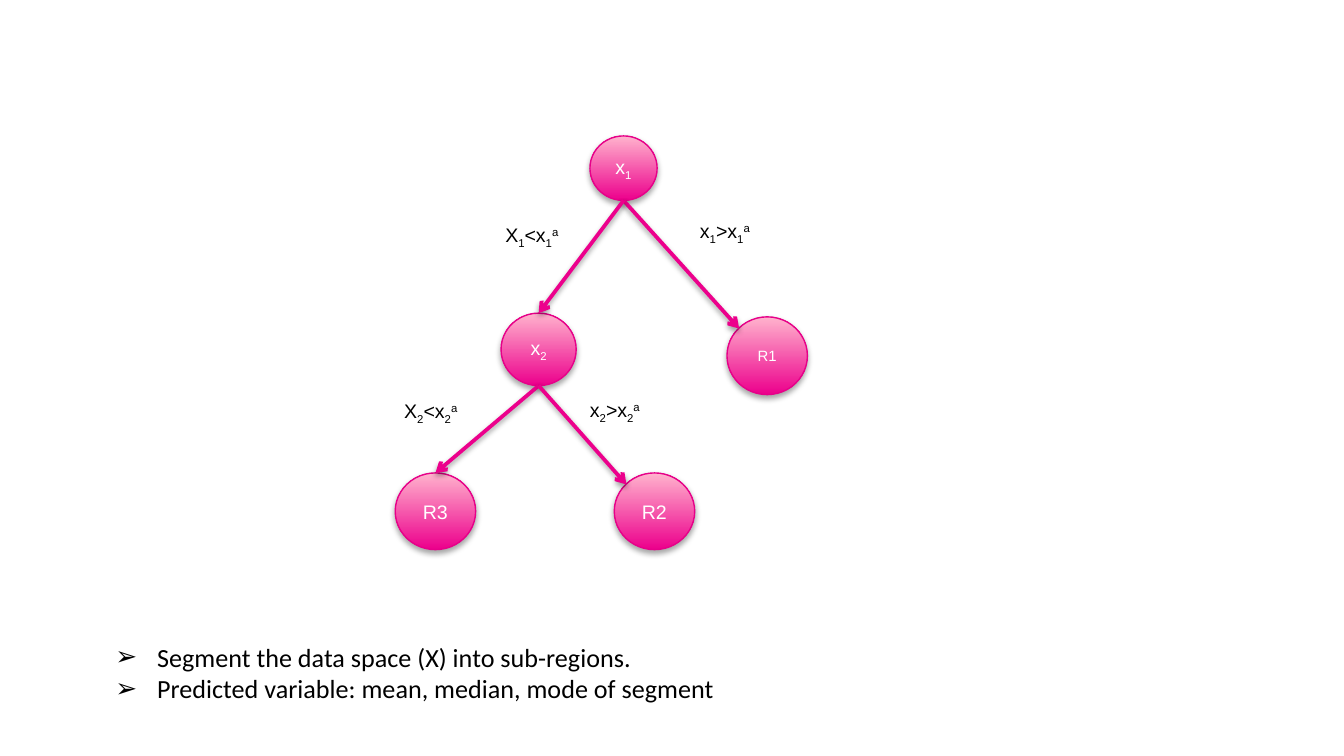
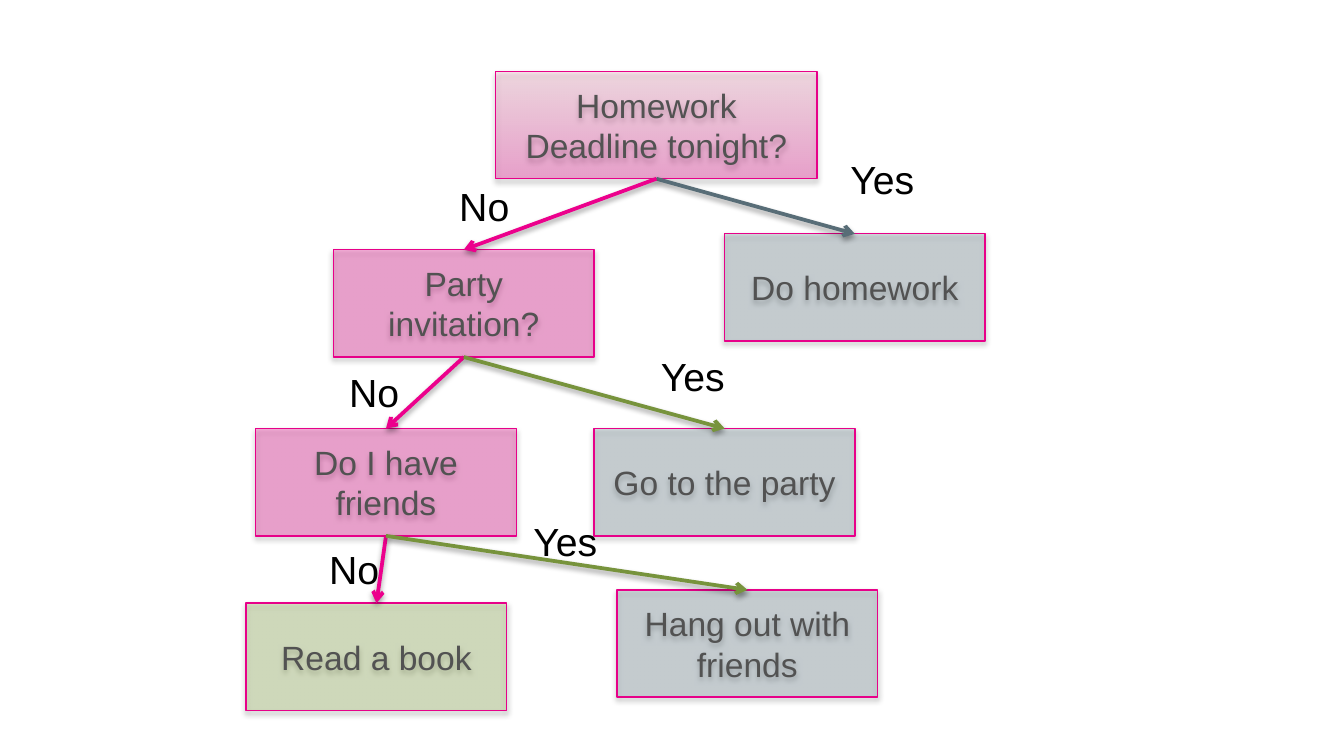
from dataclasses import dataclass

from lxml.etree import SubElement
from pptx import Presentation
from pptx.dml.color import RGBColor as RGB
from pptx.enum.shapes import MSO_CONNECTOR as Link, MSO_SHAPE as Preset
from pptx.enum.text import MSO_ANCHOR as Anchor, PP_ALIGN as Align
from pptx.oxml.ns import qn
from pptx.util import Cm, Pt


@dataclass(frozen=True)
class Theme:
    pink: str = "EC008C"
    light_pink: str = "FFB3CD"
    outline: str = "E70089"
    gray: str = "78909C"
    dark_gray: str = "586D77"
    lime: str = "9BBB59"
    green: str = "77933C"
    ink: str = "525252"
    black: str = "000000"
    white: str = "FFFFFF"
    font: str = "Arial"
    body_font: str = "Calibri"
    leaf: float = 8
    small: float = 10.5
    body: float = 14
    step: float = 18
    answer: float = 21
    outline_width: float = 0.75
    arrow_width: float = 2


theme = Theme()


def write(para, text, size, color, font=theme.font):
    """Write spans split by "|"; a leading "_" lowers a span, "^" raises it."""
    para.text = text.replace("|_", "|").replace("|^", "|") if "|" not in text else ""
    for piece in text.split("|") if "|" in text else []:
        span = para.add_run()
        span.text = piece.lstrip("_^")
        baseline = {"_": "-25000", "^": "30000"}.get(piece[0])
        if baseline:
            span._r.get_or_add_rPr().set("baseline", baseline)
    for span in para.runs:
        span.font.size = Pt(size)
        span.font.name = font
        span.font.color.rgb = RGB.from_string(color)


def add_shadow(item, distance, opacity):
    effects = SubElement(item._element.spPr, qn("a:effectLst"))
    shadow = SubElement(effects, qn("a:outerShdw"), blurRad=str(Pt(3.1)),
                        dist=str(Pt(distance)), dir="5400000", rotWithShape="0")
    color = SubElement(shadow, qn("a:srgbClr"), val=theme.black)
    SubElement(color, qn("a:alpha"), val=str(opacity * 1000))


# Nodes: name, text, left, top, width, height, text size, fill (None is the gradient)
# Arrows: parent, child, colour, whether it meets the child's upper left arc
# Labels: text, left, top, width
STEP_SIZE = (4.93, 2.03)
region_tree = {
    "preset": Preset.OVAL,
    "ink": theme.white,
    "opacity": 100,
    "nodes": [
        ("x1", "x|_1", 11.15, 2.57, 1.27, 1.22, theme.small, None),
        ("R1", "R1", 13.74, 5.99, 1.52, 1.47, theme.leaf, None),
        ("x2", "x|_2", 9.47, 5.92, 1.42, 1.37, theme.small, None),
        ("R2", "R2", 11.61, 8.94, 1.52, 1.45, theme.small, None),
        ("R3", "R3", 7.47, 8.94, 1.52, 1.45, theme.small, None),
    ],
    "arrows": [
        ("x1", "R1", theme.pink, True),
        ("x1", "x2", theme.pink, False),
        ("x2", "R3", theme.pink, False),
        ("x2", "R2", theme.pink, True),
    ],
    "label_size": theme.small,
    "label_height": 0.71,
    "labels": [
        ("x|_1|>x|_1|^a", 12.98, 4.01, 1.52),
        ("X|_1|<x|_1|^a", 9.3, 4.09, 1.57),
        ("x|_2|>x|_2|^a", 10.9, 7.39, 1.52),
        ("X|_2|<x|_2|^a", 7.39, 7.42, 1.57),
    ],
    "bullets": [
        "Segment the data space (X) into sub-regions.",
        "Predicted variable: mean, median, mode of segment",
    ],
}
evening_tree = {
    "preset": Preset.RECTANGLE,
    "ink": theme.ink,
    "opacity": 30,
    "nodes": [
        ("deadline", "Homework Deadline tonight?", 9.37, 1.35, 6.07, 2.03, theme.step, None),
        ("homework", "Do homework", 13.69, 4.42, *STEP_SIZE, theme.step, theme.gray),
        ("invitation", "Party invitation?", 6.3, 4.72, *STEP_SIZE, theme.step, theme.pink),
        ("friends", "Do I have friends", 4.83, 8.1, *STEP_SIZE, theme.step, theme.pink),
        ("party", "Go to the party", 11.23, 8.1, *STEP_SIZE, theme.step, theme.gray),
        ("book", "Read a book", 4.65, 11.4, *STEP_SIZE, theme.step, theme.lime),
        ("hang out", "Hang out with friends", 11.66, 11.15, *STEP_SIZE, theme.step, theme.gray),
    ],
    "arrows": [
        ("deadline", "homework", theme.dark_gray, False),
        ("deadline", "invitation", theme.pink, False),
        ("invitation", "friends", theme.pink, False),
        ("invitation", "party", theme.green, False),
        ("friends", "book", theme.pink, False),
        ("friends", "hang out", theme.green, False),
    ],
    "label_size": theme.answer,
    "label_height": 1.14,
    "labels": [
        ("Yes", 15.82, 2.82, 1.8),
        ("No", 8.43, 3.33, 1.47),
        ("No", 6.35, 6.83, 1.47),
        ("Yes", 12.24, 6.53, 1.8),
        ("No", 5.97, 10.19, 1.47),
        ("Yes", 9.83, 9.65, 1.8),
    ],
    "bullets": [],
}

deck = Presentation()
deck.slide_width, deck.slide_height = Cm(25.4), Cm(14.29)

for tree in (region_tree, evening_tree):
    page = deck.slides.add_slide(deck.slide_layouts[6])
    nodes = {}

    for name, text, left, top, width, height, size, fill in tree["nodes"]:
        node = page.shapes.add_shape(tree["preset"], Cm(left), Cm(top), Cm(width), Cm(height))
        if fill:
            node.fill.solid()
            node.fill.fore_color.rgb = RGB.from_string(fill)
        else:
            node.fill.gradient()
            node.fill.gradient_angle = 90
            for stop, color in zip(node.fill.gradient_stops, (theme.pink, theme.light_pink)):
                stop.color.rgb = RGB.from_string(color)
        if tree["opacity"] < 100:
            for color in list(node._element.spPr.iter(qn("a:srgbClr"))):
                SubElement(color, qn("a:alpha"), val=str(tree["opacity"] * 1000))
        node.line.color.rgb = RGB.from_string(theme.outline)
        node.line.width = Pt(theme.outline_width)
        add_shadow(node, 1.8, 35)
        node.text_frame.vertical_anchor = Anchor.MIDDLE
        para = node.text_frame.paragraphs[0]
        para.alignment = Align.CENTER
        write(para, text, size, tree["ink"])
        nodes[name] = node

    for parent_name, child_name, color, meets_arc in tree["arrows"]:
        parent, child = nodes[parent_name], nodes[child_name]
        across, down = (0.15, 0.15) if meets_arc else (0.5, 0)
        arrow = page.shapes.add_connector(
            Link.STRAIGHT,
            parent.left + parent.width // 2, parent.top + parent.height,
            child.left + int(child.width * across), child.top + int(child.height * down))
        arrow.line.color.rgb = RGB.from_string(color)
        arrow.line.width = Pt(theme.arrow_width)
        SubElement(arrow.line._get_or_add_ln(), qn("a:tailEnd"), type="arrow")
        add_shadow(arrow, 1.6, 38)

    for text, left, top, width in tree["labels"]:
        label = page.shapes.add_textbox(Cm(left), Cm(top), Cm(width), Cm(tree["label_height"]))
        label.text_frame.word_wrap = False
        write(label.text_frame.paragraphs[0], text, tree["label_size"], theme.black)

    if tree["bullets"]:
        box = page.shapes.add_textbox(Cm(1.93), Cm(11.99), Cm(16.79), Cm(1.45))
        box.text_frame.word_wrap = True
        box.text_frame.text = "\n".join(tree["bullets"])
        for para, text in zip(box.text_frame.paragraphs, tree["bullets"]):
            write(para, text, theme.body, theme.black, theme.body_font)
            props = para._p.get_or_add_pPr()
            props.set("marL", str(Cm(0.79)))
            props.set("indent", str(-Cm(0.79)))
            bullet_color = SubElement(props, qn("a:buClr"))
            SubElement(bullet_color, qn("a:srgbClr"), val=theme.black)
            SubElement(props, qn("a:buFont"), typeface=theme.font)
            SubElement(props, qn("a:buChar"), char="➢")

deck.save("out.pptx")
